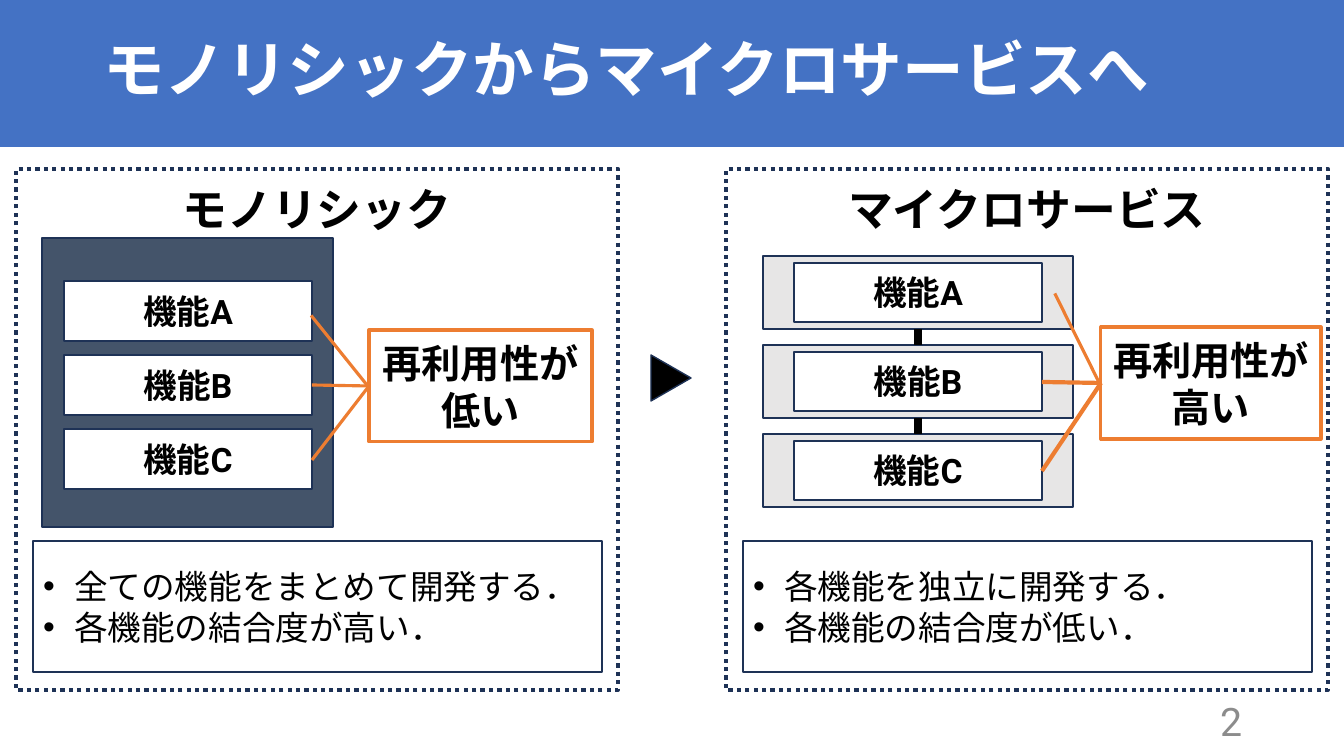
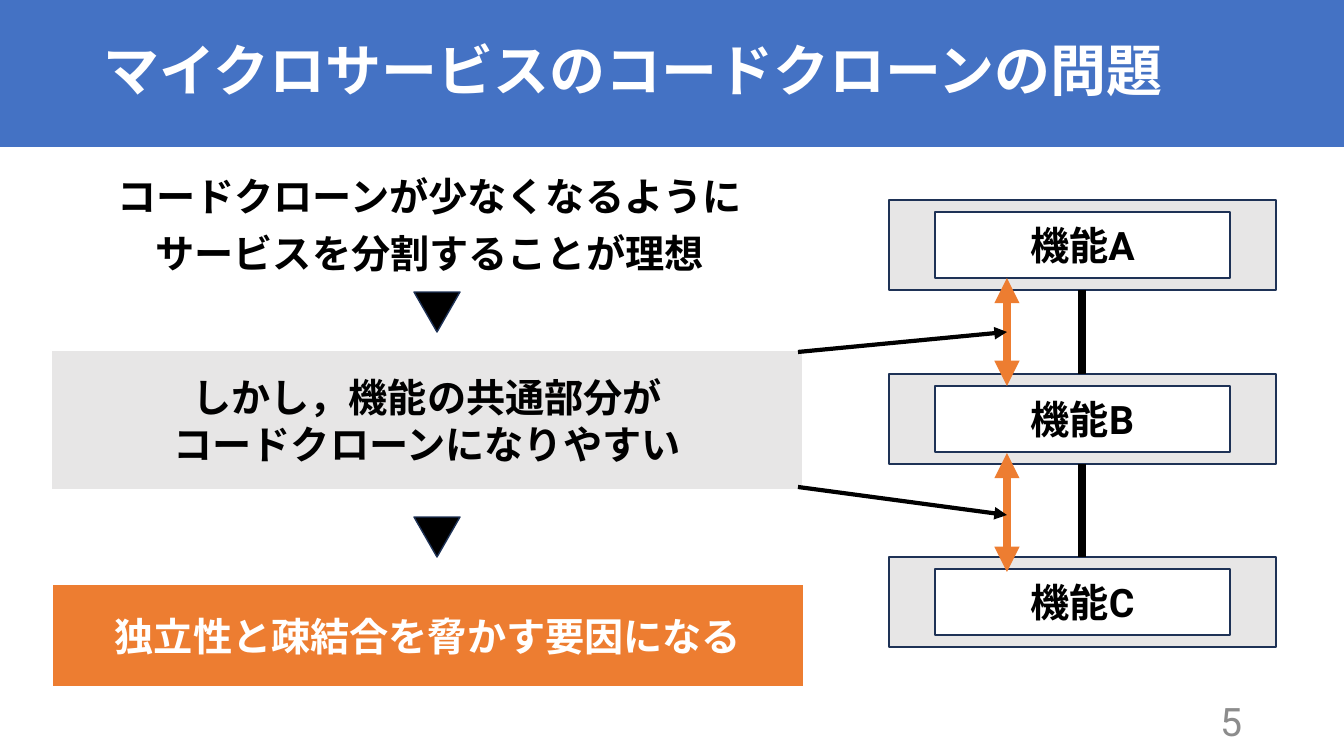
"""Build two slides on monoliths, microservices and code clones."""
from lxml import etree
from pptx import Presentation
from pptx.dml.color import RGBColor
from pptx.enum.dml import MSO_LINE
from pptx.enum.lang import MSO_LANGUAGE_ID
from pptx.enum.shapes import MSO_CONNECTOR, MSO_SHAPE
from pptx.enum.text import MSO_ANCHOR, MSO_AUTO_SIZE, PP_ALIGN
from pptx.oxml.ns import qn
from pptx.util import Pt

PX = 914400 / 100.8
RECT = MSO_SHAPE.RECTANGLE
WEDGE = MSO_SHAPE.ISOSCELES_TRIANGLE
CALLOUT = MSO_SHAPE.LINE_CALLOUT_1
STRAIGHT = MSO_CONNECTOR.STRAIGHT
DOTS = MSO_LINE.ROUND_DOT
LEFT, CENTER, RIGHT = PP_ALIGN.LEFT, PP_ALIGN.CENTER, PP_ALIGN.RIGHT
TOP, MIDDLE = MSO_ANCHOR.TOP, MSO_ANCHOR.MIDDLE
FIXED = MSO_AUTO_SIZE.NONE
JAPAN = MSO_LANGUAGE_ID.JAPANESE

COLORS = {
    "blue": "4472C4", "navy": "1E3256", "slate": "44546A", "pale": "E7E6E6",
    "orange": "ED7D31", "gray": "8C8C8C", "black": "000000", "white": "FFFFFF",
}
HUES = {name: RGBColor.from_string(code) for name, code in COLORS.items()}
HEAD = "Quicksand"
BODY = "Roboto"


def dress(shape, box, text="", fill=None, line=None, width=1, ink="black",
          face=BODY, size=24, bold=True, anchor=MIDDLE, **form):
    """Place a shape, paint it and write its text."""
    for name, value in zip(("left", "top", "width", "height"), box):
        setattr(shape, name, round(value * PX))
    shape.shadow.inherit = False
    for paint, hue in ((shape.fill, fill), (shape.line.fill, line)):
        if hue:
            paint.solid()
            paint.fore_color.rgb = HUES[hue]
        else:
            paint.background()
    if line:
        shape.line.width = Pt(width)
    if not text:
        return shape
    frame = shape.text_frame
    frame.text = text
    style = {"word_wrap": True, "auto_size": FIXED, "vertical_anchor": anchor}
    for name, value in style.items():
        setattr(frame, name, value)
    form = {"alignment": CENTER, "line_spacing": 1.0, "space_before": Pt(0)} | form
    font = {"name": face, "size": Pt(size), "bold": bold, "language_id": JAPAN}
    for para in frame.paragraphs:
        for name, value in form.items():
            setattr(para, name, value)
        for run in para.runs:
            for name, value in font.items():
                setattr(run.font, name, value)
            run.font.color.rgb = HUES[ink]
    return shape


def link(slide, ends, hue, width, tips=()):
    """Draw a straight line with triangle tips."""
    wire = slide.shapes.add_connector(STRAIGHT, *(round(n * PX) for n in ends))
    wire.line.color.rgb = HUES[hue]
    wire.line.width = Pt(width)
    props = wire.element.spPr
    for tip in tips:
        etree.SubElement(props.find(qn("a:ln")), qn(tip), type="triangle")
    etree.SubElement(props, qn("a:effectLst"))


deck = Presentation()
deck.slide_width = round(1344 * PX)
deck.slide_height = round(756 * PX)

pages = []
for layout, title, size, number in (
    (3, "モノリシックからマイクロサービスへ", 44, "2"),
    (1, "マイクロサービスのコードクローンの問題", 40, "5"),
):
    slide = deck.slides.add_slide(deck.slide_layouts[layout])
    dress(slide.shapes.title, (93, 0, 1159, 146), title, ink="white",
          size=size, alignment=LEFT, line_spacing=0.9)
    dress(slide.shapes.add_textbox(0, 0, 0, 0), (950, 701, 302, 40), number,
          ink="gray", size=28, bold=False, alignment=RIGHT)
    pages.append(slide)
shift, clone = pages

band = dress(shift.shapes.add_shape(RECT, 0, 0, 0, 0), (0, 0, 1344, 147), fill="blue")
deck.slide_master.shapes.element.insert(2, band.element)

for slot, x, name, points in (
    (1, 16, "モノリシック", "全ての機能をまとめて開発する．\n各機能の結合度が高い．"),
    (2, 726, "マイクロサービス", "各機能を独立に開発する．\n各機能の結合度が低い．"),
):
    panel = dress(shift.shapes.add_shape(RECT, 0, 0, 0, 0), (x, 169, 602, 521),
                  line="navy", width=3)
    panel.line.dash_style = DOTS
    dress(shift.shapes.add_textbox(0, 0, 0, 0), (x, 176, 602, 65), name,
          face=HEAD, size=32)
    notes = dress(shift.placeholders[slot], (x + 17, 541, 569, 131), points,
                  fill="white", line="navy", width=1.5, face=HEAD, bold=False,
                  alignment=LEFT)
    for para in notes.text_frame.paragraphs:
        props = para._p.get_or_add_pPr()
        props.set("marL", str(round(31 * PX)))
        props.set("indent", str(round(-31 * PX)))
        etree.SubElement(props, qn("a:buFont"), typeface="Arial")
        etree.SubElement(props, qn("a:buChar"), char="•")

dress(shift.shapes.add_shape(RECT, 0, 0, 0, 0), (42, 238, 291, 289),
      fill="slate", line="navy")
for row, key in enumerate("ABC"):
    dress(shift.shapes.add_shape(RECT, 0, 0, 0, 0), (64, 281 + 74 * row, 248, 60),
          f"機能{key}", fill="white", line="navy")

for slide, x, tops, wide, high, dx, dy, size in (
    (shift, 763, (256, 345, 434), 310, 73, 31, 7, 24),
    (clone, 889, (200, 374, 557), 387, 90, 46, 12, 28),
):
    for key, y in zip("ABC", tops):
        dress(slide.shapes.add_shape(RECT, 0, 0, 0, 0), (x, y, wide, high),
              fill="pale", line="navy")
        dress(slide.shapes.add_shape(RECT, 0, 0, 0, 0),
              (x + dx, y + dy, wide - 2 * dx, high - 2 * dy), f"機能{key}",
              fill="white", line="navy", size=size)
    for above, below in zip(tops, tops[1:]):
        mid = x + wide // 2
        link(slide, (mid, above + high, mid, below), "black", 6)

for box, text, bends, width, ends in (
    ((369, 330, 223, 112), "再利用性が\v低い", (0.49, -0.01, -0.13, -0.26), 2.25,
     ((312, 385), (312, 460))),
    ((1101, 327, 220, 112), "再利用性が\v高い", (0.49, -0.01, -0.3, -0.21), 3,
     ((1042, 382), (1042, 471))),
):
    call = dress(shift.shapes.add_shape(CALLOUT, 0, 0, 0, 0), box, text,
                 line="orange", width=2.25, face=HEAD, size=28)
    for spot, bend in enumerate(bends):
        call.adjustments[spot] = bend
    for end in ends:
        link(shift, (box[0], box[1] + 56, *end), "orange", width)

for slide, x, y, turn in (
    (shift, 648, 358, 90), (clone, 414, 292, 180), (clone, 414, 517, 180),
):
    wedge = dress(slide.shapes.add_shape(WEDGE, 0, 0, 0, 0), (x, y, 46, 40),
                  fill="black", line="navy")
    wedge.rotation = turn

ideal = dress(clone.placeholders[1], (54, 173, 751, 114),
              "コードクローンが少なくなるように\nサービスを分割することが理想",
              size=28, anchor=TOP, line_spacing=0.9, space_before=Pt(10))
for para in ideal.text_frame.paragraphs:
    props = para._p.get_or_add_pPr()
    props.set("marL", "0")
    props.set("indent", "0")
    etree.SubElement(props, qn("a:buNone"))

for box, text, fill, ink in (
    ((51, 350, 752, 140), "しかし，機能の共通部分が\vコードクローンになりやすい", "pale", "black"),
    ((52, 584, 752, 103), "独立性と疎結合を脅かす要因になる", "orange", "white"),
):
    dress(clone.shapes.add_shape(RECT, 0, 0, 0, 0), box, text, fill=fill,
          line="white", ink=ink, face=HEAD, size=28)

for ends, hue, width, tips in (
    ((1007, 278, 1007, 386), "orange", 6, ("a:headEnd", "a:tailEnd")),
    ((1007, 453, 1007, 572), "orange", 6, ("a:headEnd", "a:tailEnd")),
    ((798, 352, 1007, 332), "black", 3, ("a:tailEnd",)),
    ((798, 487, 1007, 515), "black", 3, ("a:tailEnd",)),
):
    link(clone, ends, hue, width, tips)

deck.save("out.pptx")
